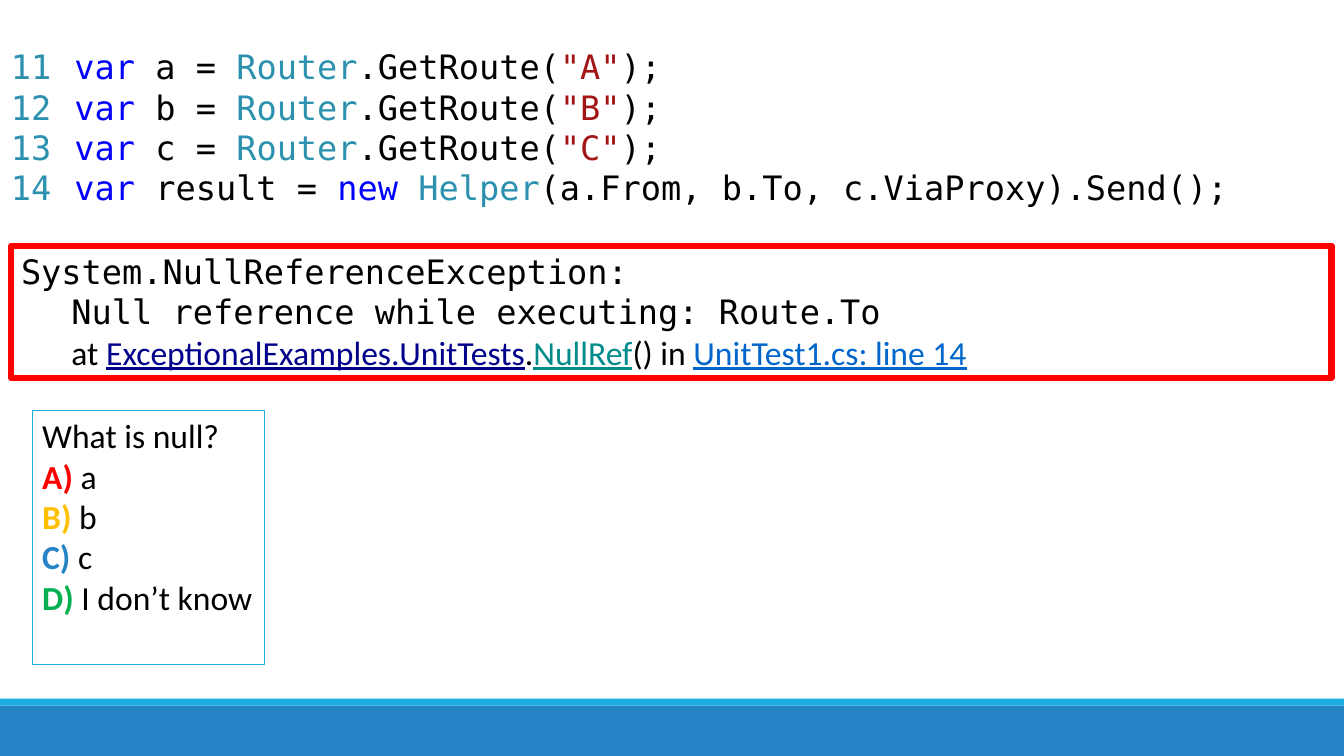
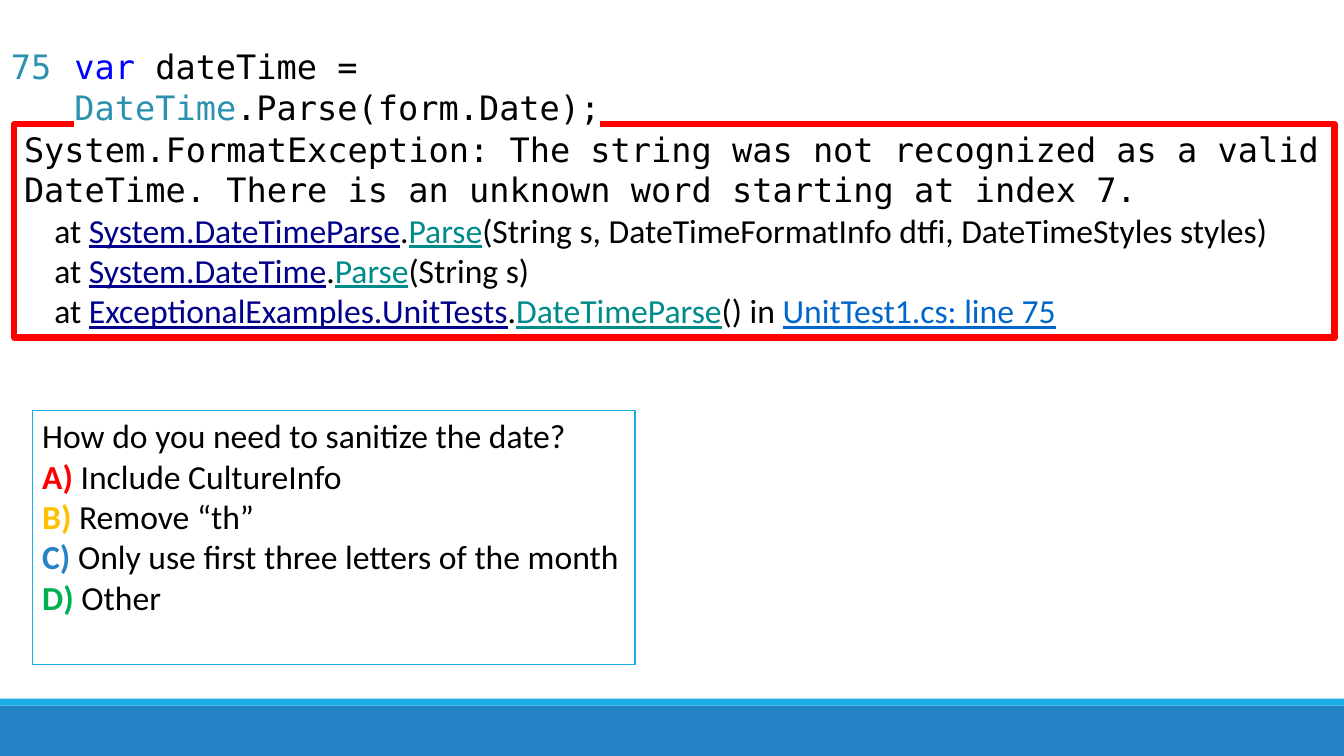
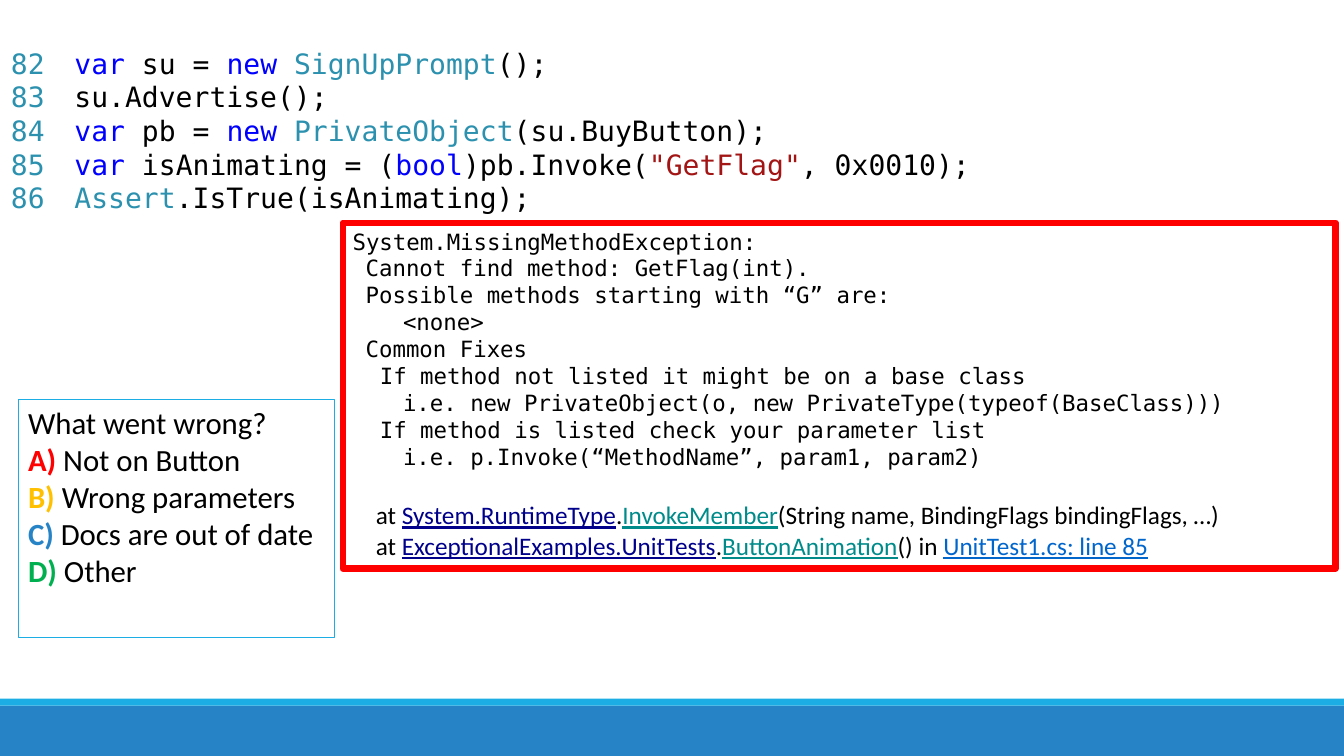
from dataclasses import dataclass

from lxml import etree
from pptx import Presentation
from pptx.dml.color import RGBColor
from pptx.enum.shapes import MSO_SHAPE
from pptx.enum.text import MSO_ANCHOR, PP_ALIGN
from pptx.oxml.ns import qn
from pptx.util import Inches, Pt

RECTANGLE = MSO_SHAPE.RECTANGLE
TOP = MSO_ANCHOR.TOP
LEFT = PP_ALIGN.LEFT

WIDTH, HEIGHT = Inches(13.33), Inches(7.5)
LEADING = 1.2
SANS, MONO = "Calibri", "DejaVu Sans Mono"
COLOURS = {
    "text": "000000",
    "paper": "FFFFFF",
    "keyword": "0000FF",
    "type": "2B91AF",
    "string": "A31515",
    "owner": "00008B",
    "method": "008B8B",
    "file": "0066CC",
    "error": "FF0000",
    "band": "2683C6",
    "accent": "1CADE4",
    "A": "FF0000",
    "B": "FFC000",
    "C": "2683C6",
    "D": "00B050",
}
UNDERLINED = ("owner", "method", "file")


@dataclass(frozen=True)
class Area:
    """Position and size as percentages of the slide."""
    left: float
    top: float
    width: float
    height: float


@dataclass(frozen=True)
class Span:
    text: str
    ink: str = "text"


@dataclass(frozen=True)
class Line:
    spans: list[Span]
    size: int
    font: str = MONO
    indent: float = 0
    before: float = 0


@dataclass(frozen=True)
class Quiz:
    area: Area
    size: int
    question: str
    answers: list[str]


@dataclass(frozen=True)
class Puzzle:
    first_number: int
    code_size: int
    code_width: float
    code: list[list[Span]]
    trace_area: Area
    trace: list[Line]
    quiz: Quiz


BANDS = [
    (Area(0, 93.33, 100, 6.67), "band"),
    (Area(0, 92.4, 100, 0.93), "accent"),
]
CODE_TOP, CODE_HEIGHT = 5.47, 22.93
NUMBER_LEFT, CODE_LEFT = 0.08, 4.8

VAR, NEW = Span("var", "keyword"), Span("new", "keyword")
GAP = Span(" ")


def colour(name: str) -> RGBColor:
    return RGBColor.from_string(COLOURS[name])


def place(area: Area) -> list[int]:
    return [
        round(share * side / 100)
        for share, side in (
            (area.left, WIDTH),
            (area.top, HEIGHT),
            (area.width, WIDTH),
            (area.height, HEIGHT),
        )
    ]


def add_box(page, area: Area, fill: str = "", border: str = "", weight: float = 0):
    box = page.shapes.add_shape(RECTANGLE, *place(area))
    box.shadow.inherit = False
    if fill:
        box.fill.solid()
        box.fill.fore_color.rgb = colour(fill)
    else:
        box.fill.background()
    if border:
        box.line.color.rgb = colour(border)
        box.line.width = Pt(weight)
    else:
        box.line.fill.background()
    return box


def highlight(run) -> None:
    mark = etree.Element(qn("a:highlight"))
    etree.SubElement(mark, qn("a:srgbClr"), val=COLOURS["paper"])
    run.font._element.find(qn("a:solidFill")).addnext(mark)


def write(box, lines: list[Line], wrap: bool = True, marked: bool = False) -> None:
    frame = box.text_frame
    frame.word_wrap = wrap
    frame.vertical_anchor = TOP
    for index, line in enumerate(lines):
        para = frame.paragraphs[0] if index == 0 else frame.add_paragraph()
        para.alignment = LEFT
        para.line_spacing = Pt(line.size * LEADING)
        para.space_before = Pt(line.before)
        if line.indent:
            properties = para._p.get_or_add_pPr()
            properties.set("marL", str(Inches(line.indent)))
            properties.set("indent", "0")
        for span in line.spans:
            run = para.add_run()
            run.text = span.text
            run.font.size = Pt(line.size)
            run.font.name = line.font
            run.font.bold = span.ink in "ABCD"
            run.font.underline = span.ink in UNDERLINED
            run.font.color.rgb = colour(span.ink)
            if marked:
                highlight(run)


def message(text: str, size: int = 24, indent: float = 0) -> Line:
    return Line([Span(text)], size, indent=indent)


def call(owner: str, method: str, arguments: str = "", line: int = 0,
         size: int = 24, indent: float = 0.3, before: float = 0) -> Line:
    spans = [Span("at "), Span(owner, "owner"), Span("."), Span(method, "method")]
    if line:
        spans += [Span("() in "), Span(f"UnitTest1.cs: line {line}", "file")]
    else:
        spans.append(Span(f"({arguments})"))
    return Line(spans, size, SANS, indent, before)


def route(name: str) -> list[Span]:
    return [VAR, Span(f" {name} = "), Span("Router", "type"), Span(".GetRoute("),
            Span(f'"{name.upper()}"', "string"), Span(");")]


def creation(name: str, kind: str, arguments: str) -> list[Span]:
    return [VAR, Span(f" {name} = "), NEW, GAP, Span(kind, "type"), Span(arguments)]


def draw_code(page, puzzle: Puzzle) -> None:
    numbers = [[Span(str(puzzle.first_number + step), "type")]
               for step in range(len(puzzle.code))]
    for left, width, rows in (
        (NUMBER_LEFT, CODE_LEFT, numbers),
        (CODE_LEFT, puzzle.code_width, puzzle.code),
    ):
        box = page.shapes.add_textbox(*place(Area(left, CODE_TOP, width, CODE_HEIGHT)))
        write(box, [Line(row, puzzle.code_size) for row in rows], marked=True)


def draw_quiz(page, quiz: Quiz) -> None:
    rows = [[Span(quiz.question)]]
    rows += [[Span(f"{letter}) ", letter), Span(answer)]
             for letter, answer in zip("ABCD", quiz.answers)]
    box = add_box(page, quiz.area, border="accent", weight=0.75)
    write(box, [Line(row, quiz.size, SANS) for row in rows], wrap=False)


def draw_puzzle(page, puzzle: Puzzle) -> None:
    for area, fill in BANDS:
        add_box(page, area, fill=fill)
    write(add_box(page, puzzle.trace_area, border="error", weight=4.5), puzzle.trace)
    draw_quiz(page, puzzle.quiz)
    draw_code(page, puzzle)


TESTS = "ExceptionalExamples.UnitTests"
PUZZLES = [
    Puzzle(
        11, 24, 93.5,
        [
            *[route(name) for name in "abc"],
            creation("result", "Helper", "(a.From, b.To, c.ViaProxy).Send();"),
        ],
        Area(0.83, 32.53, 98.25, 17.47),
        [
            message("System.NullReferenceException:"),
            message("Null reference while executing: Route.To", indent=0.5),
            call(TESTS, "NullRef", line=14, indent=0.5),
        ],
        Quiz(Area(2.4, 54.27, 17.25, 33.6), 24, "What is null?",
             ["a", "b", "c", "I don’t know"]),
    ),
    Puzzle(
        75, 24, 58.65,
        [[VAR, Span(" dateTime = "), Span("DateTime", "type"),
          Span(".Parse(form.Date);")]],
        Area(1.05, 16.4, 98.25, 28.27),
        [
            message("System.FormatException: The string was not recognized as a valid "
                    "DateTime. There is an unknown word starting at index 7."),
            call("System.DateTimeParse", "Parse",
                 "String s, DateTimeFormatInfo dtfi, DateTimeStyles styles"),
            call("System.DateTime", "Parse", "String s"),
            call(TESTS, "DateTimeParse", line=75),
        ],
        Quiz(Area(2.4, 54.27, 44.85, 33.6), 24, "How do you need to sanitize the date?",
             ["Include CultureInfo", "Remove “th”",
              "Only use first three letters of the month", "Other"]),
    ),
    Puzzle(
        82, 20, 93.9,
        [
            creation("su", "SignUpPrompt", "();"),
            [Span("su.Advertise();")],
            creation("pb", "PrivateObject", "(su.BuyButton);"),
            [VAR, Span(" isAnimating = ("), Span("bool", "keyword"),
             Span(")pb.Invoke("), Span('"GetFlag"', "string"), Span(", 0x0010);")],
            [Span("Assert", "type"), Span(".IsTrue(isAnimating);")],
        ],
        Area(25.5, 29.47, 73.88, 45.73),
        [
            *[message(text, 16, indent) for text, indent in (
                ("System.MissingMethodException:", 0),
                ("Cannot find method: GetFlag(int).", 0.13),
                ("Possible methods starting with “G” are:", 0.13),
                ("<none>", 0.5),
                ("Common Fixes", 0.13),
                ("If method not listed it might be on a base class", 0.27),
                ("i.e. new PrivateObject(o, new PrivateType(typeof(BaseClass)))", 0.5),
                ("If method is listed check your parameter list", 0.27),
                ("i.e. p.Invoke(“MethodName”, param1, param2)", 0.5),
            )],
            call("System.RuntimeType", "InvokeMember",
                 "String name, BindingFlags bindingFlags, …",
                 size=18, indent=0.23, before=21.6),
            call(TESTS, "ButtonAnimation", line=85, size=18, indent=0.23),
        ],
        Quiz(Area(1.35, 52.8, 23.55, 31.47), 22, "What went wrong?",
             ["Not on Button", "Wrong parameters", "Docs are out of date", "Other"]),
    ),
]


def main() -> None:
    deck = Presentation()
    deck.slide_width, deck.slide_height = WIDTH, HEIGHT
    blank = deck.slide_layouts[6]
    for puzzle in PUZZLES:
        draw_puzzle(deck.slides.add_slide(blank), puzzle)
    deck.save("out.pptx")


if __name__ == "__main__":
    main()
